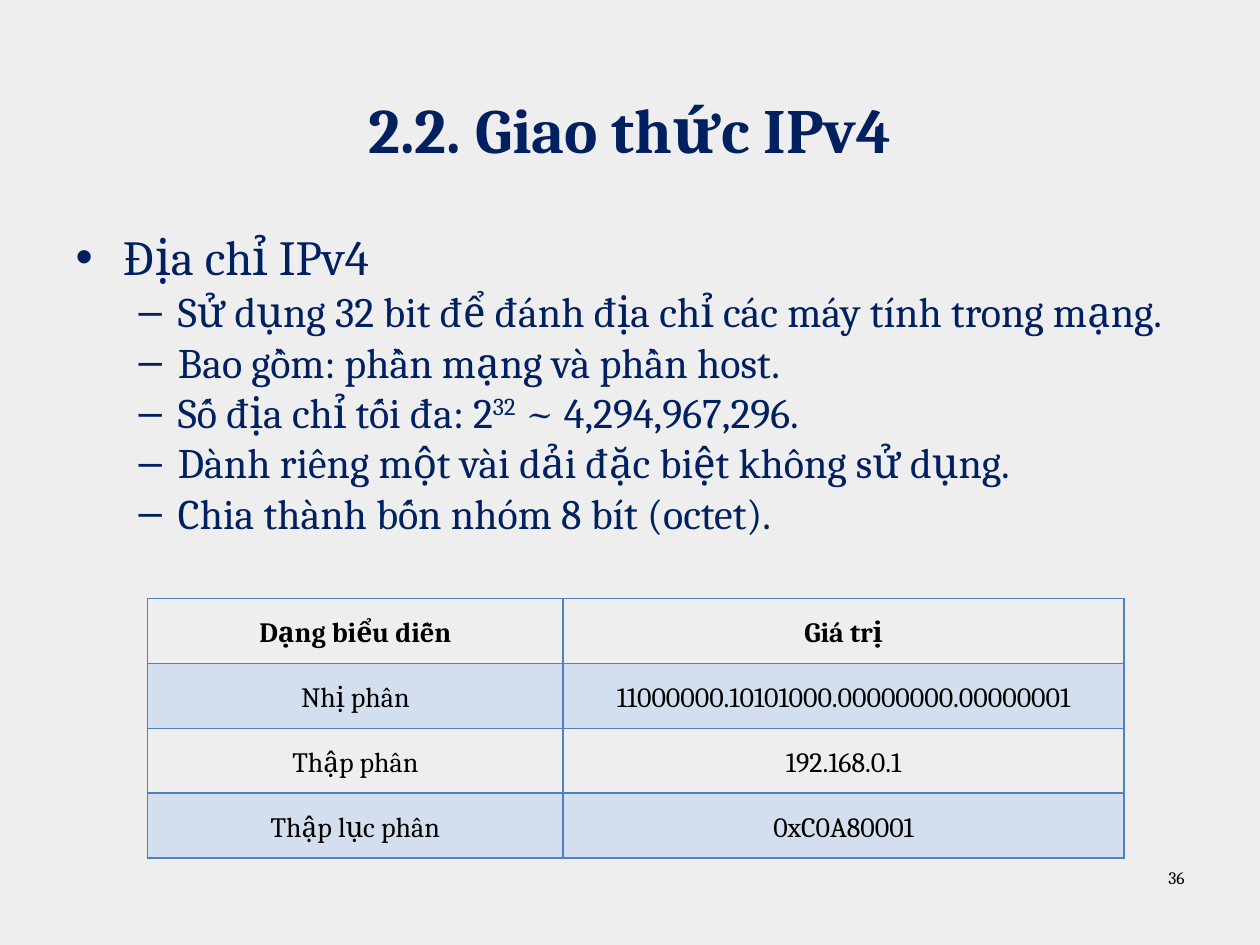
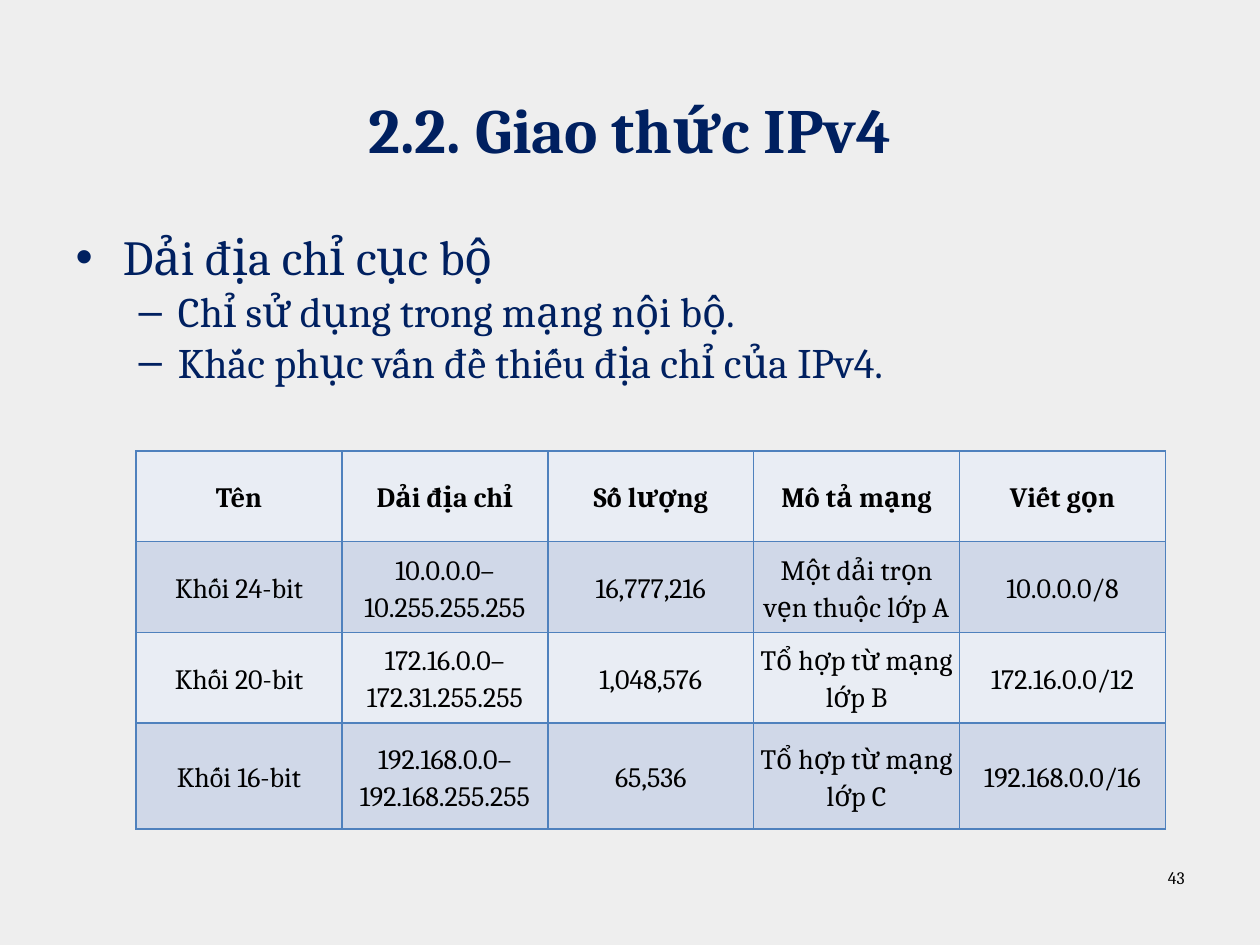
from lxml import etree
from pptx import Presentation
from pptx.dml.color import RGBColor
from pptx.enum.text import MSO_ANCHOR, MSO_AUTO_SIZE, PP_ALIGN
from pptx.oxml.ns import qn
from pptx.util import Inches, Pt

CENTER, RIGHT = PP_ALIGN.CENTER, PP_ALIGN.RIGHT
MIDDLE = MSO_ANCHOR.MIDDLE
NO_AUTOFIT = MSO_AUTO_SIZE.NONE

FONT = "Cambria"
BACKGROUND = RGBColor(0xEE, 0xEE, 0xEE)
NAVY = RGBColor(0x00, 0x20, 0x60)
BLACK = RGBColor(0x00, 0x00, 0x00)
BORDER = RGBColor(0x4F, 0x81, 0xBD)
PALE_BLUE = RGBColor(0xD3, 0xDF, 0xEE)
BAND_LIGHT = RGBColor(0xE9, 0xED, 0xF4)
BAND_DARK = RGBColor(0xD0, 0xD8, 0xE8)

TITLE = "2.2. Giao thức IPv4"
LEVEL_SIZES = (28, 24)

# Slide content; carets enclose superscript text
ADDRESS_POINTS = [
    "Sử dụng 32 bit để đánh địa chỉ các máy tính trong mạng.",
    "Bao gồm: phần mạng và phần host.",
    "Số địa chỉ tối đa: 2^32^ ~ 4,294,967,296.",
    "Dành riêng một vài dải đặc biệt không sử dụng.",
    "Chia thành bốn nhóm 8 bít (octet).",
]
ADDRESS_FORMS = [
    ["Dạng biểu diễn", "Giá trị"],
    ["Nhị phân", "11000000.10101000.00000000.00000001"],
    ["Thập phân", "192.168.0.1"],
    ["Thập lục phân", "0xC0A80001"],
]
LOCAL_POINTS = [
    "Chỉ sử dụng trong mạng nội bộ.",
    "Khắc phục vấn đề thiếu địa chỉ của IPv4.",
]
LOCAL_RANGES = [
    ["Tên", "Dải địa chỉ", "Số lượng", "Mô tả mạng", "Viết gọn"],
    ["Khối 24-bit", "10.0.0.0–10.255.255.255", "16,777,216",
     "Một dải trọn vẹn thuộc lớp A", "10.0.0.0/8"],
    ["Khối 20-bit", "172.16.0.0–172.31.255.255", "1,048,576",
     "Tổ hợp từ mạng lớp B", "172.16.0.0/12"],
    ["Khối 16-bit", "192.168.0.0–192.168.255.255", "65,536",
     "Tổ hợp từ mạng lớp C", "192.168.0.0/16"],
]


def set_font(p, size, color, bold=False):
    p.font.name = FONT
    p.font.size = Pt(size)
    p.font.color.rgb = color
    p.font.bold = bold


def place(shape, left, top, width, height):
    shape.left, shape.top = Inches(left), Inches(top)
    shape.width, shape.height = Inches(width), Inches(height)


def add_runs(p, text):
    for i, part in enumerate(text.split("^")):
        r = p.add_run()
        r.text = part
        if i % 2:
            r._r.get_or_add_rPr().set("baseline", "30000")


def fill_body(body, heading, points, height):
    place(body, 0.5, 1.75, 8.83, height)
    tf = body.text_frame
    tf.auto_size = NO_AUTOFIT
    for i, text in enumerate([heading] + points):
        p = tf.add_paragraph() if i else tf.paragraphs[0]
        p.level = min(i, 1)
        p.space_before = Pt(0)
        add_runs(p, text)
        set_font(p, LEVEL_SIZES[p.level], NAVY)


def add_page_number(s, number):
    sp = s.shapes.add_textbox(Inches(7.17), Inches(6.83), Inches(2.33), Inches(0.52))
    tf = sp.text_frame
    tf.word_wrap = True
    p = tf.paragraphs[0]
    p.text = str(number)
    p.alignment = RIGHT
    set_font(p, 10, BLACK)


def add_slide(prs, number, heading, points, body_height):
    s = prs.slides.add_slide(prs.slide_layouts[1])
    title = s.shapes.title
    place(title, 0.5, 0.39, 9, 1.25)
    title.text_frame.vertical_anchor = MIDDLE
    p = title.text_frame.paragraphs[0]
    p.text = TITLE
    p.alignment = CENTER
    set_font(p, 36, NAVY, bold=True)
    fill_body(s.placeholders[1], heading, points, body_height)
    add_page_number(s, number)
    return s


def set_borders(cell):
    tc_pr = cell._tc.get_or_add_tcPr()
    for side in ("lnL", "lnR", "lnT", "lnB"):
        ln = etree.SubElement(tc_pr, qn("a:" + side), w=str(Pt(1)))
        solid = etree.SubElement(ln, qn("a:solidFill"))
        etree.SubElement(solid, qn("a:srgbClr"), val=str(BORDER))


def format_cell(cell, text, fill, bold, margins, space_after):
    set_borders(cell)
    if fill is None:
        cell.fill.background()
    else:
        cell.fill.solid()
        cell.fill.fore_color.rgb = fill
    cell.vertical_anchor = MIDDLE
    side, end = margins
    cell.margin_left = cell.margin_right = Inches(side)
    cell.margin_top = cell.margin_bottom = Inches(end)
    p = cell.text_frame.paragraphs[0]
    p.text = text
    p.alignment = CENTER
    p.line_spacing = 1.15
    p.space_before = Pt(5)
    p.space_after = Pt(space_after)
    set_font(p, 16, BLACK, bold)


def add_grid(s, rows, left, top, widths, heights, bands, margins, space_after=0):
    """Add a bordered table whose row fills alternate between two bands."""
    table = s.shapes.add_table(
        len(rows), len(widths), Inches(left), Inches(top),
        Inches(sum(widths)), Inches(sum(heights))).table
    table.horz_banding = False
    for column, width in zip(table.columns, widths):
        column.width = Inches(width)
    for i, (row, height) in enumerate(zip(rows, heights)):
        table.rows[i].height = Inches(height)
        for j, text in enumerate(row):
            format_cell(table.cell(i, j), text, bands[i % 2], i == 0,
                        margins, space_after)


def main():
    prs = Presentation()
    prs.slide_width, prs.slide_height = Inches(10), Inches(7.5)
    fill = prs.slide_master.background.fill
    fill.solid()
    fill.fore_color.rgb = BACKGROUND

    # IPv4 addresses and their notations
    s = add_slide(prs, 36, "Địa chỉ IPv4", ADDRESS_POINTS, 4.95)
    add_grid(s, ADDRESS_FORMS, 1.17, 4.75, [3.3, 4.45], [2.06 / 4] * 4,
             (None, PALE_BLUE), (0.07, 0), space_after=5)

    # Local address ranges
    s = add_slide(prs, 43, "Dải địa chỉ cục bộ", LOCAL_POINTS, 5.25)
    add_grid(s, LOCAL_RANGES, 1.08, 3.58, [8.17 / 5] * 5, [0.72] * 3 + [0.84],
             (BAND_LIGHT, BAND_DARK), (0.02, 0.02))

    prs.save("out.pptx")


if __name__ == "__main__":
    main()
